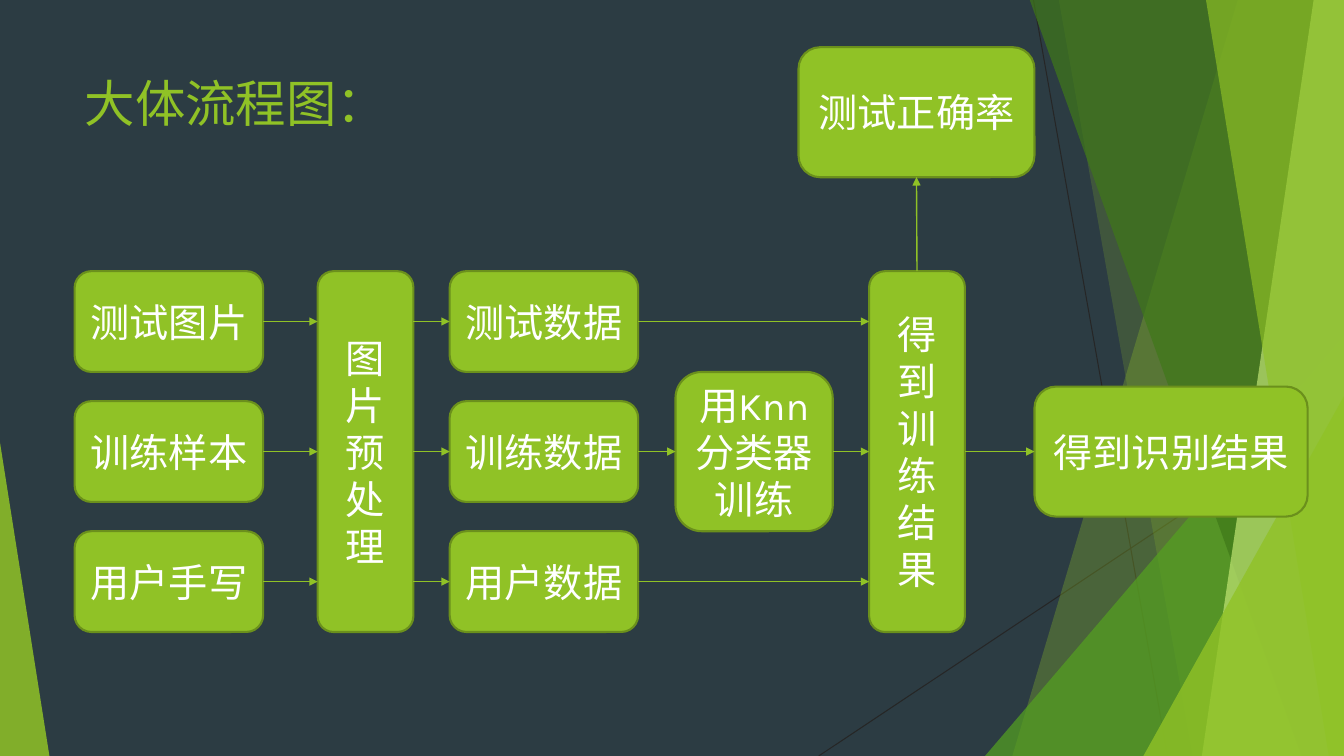
from dataclasses import dataclass
from typing import NamedTuple

from lxml import etree
from pptx import Presentation
from pptx import util as u
from pptx.dml.color import RGBColor
from pptx.enum import shapes, text
from pptx.oxml.ns import qn


@dataclass(frozen=True)
class Theme:
    background: str = "2C3C43"
    accent: str = "90C226"
    outline: str = "6B901C"
    hairline: str = "262626"
    leaf: str = "54A021"
    forest: str = "3F7819"
    lime: str = "C0E474"
    white: str = "FFFFFF"
    font: str = "Karla"
    title_size: int = 36
    box_size: int = 28


THEME = Theme()
WIDTH, HEIGHT = 13.33, 7.5

# Flow grid: row centres, and columns as (left, width)
ROW_CENTRE, ROW_PITCH, ROW_HEIGHT = 3.19, 1.29, 1.0
TALL = 2 * ROW_PITCH + ROW_HEIGHT
COLUMNS = {
    "input": (0.74, 1.87),
    "prepare": (3.15, 0.95),
    "data": (4.46, 1.87),
    "classifier": (6.7, 1.56),
    "trained": (8.62, 0.95),
    "accuracy": (7.92, 2.34),
    "recognised": (10.26, 2.71),
}
TOP, LEFT, BOTTOM, RIGHT = range(4)


class Band(NamedTuple):
    """Facet down the right edge: its left side runs from top_x to bottom_x."""
    top_x: float
    bottom_x: float
    color: str
    opacity: int


class Corner(NamedTuple):
    """Right triangle standing on the bottom edge."""
    left: float
    width: float
    height: float
    apex: int
    color: str
    opacity: int


class Step(NamedTuple):
    label: str
    column: str
    row: float
    height: float = ROW_HEIGHT


class Arrow(NamedTuple):
    start: str
    end: str
    row: int


BANDS = (
    Band(12.28, 10.04, THEME.accent, 30),
    Band(10.5, 11.83, THEME.accent, 20),
    Corner(9.77, 3.56, 4.17, 1, THEME.leaf, 72),
    Band(10.21, 12.91, THEME.forest, 70),
    Band(13.03, 11.92, THEME.lime, 70),
    Band(11.96, 13.18, THEME.accent, 65),
    Corner(11.34, 1.99, 3.57, 1, THEME.accent, 80),
    Corner(0, 0.49, 3.11, 0, THEME.accent, 85),
)
HAIRLINES = ((10.25, 0, 11.58, HEIGHT), (WIDTH, 4.03, 8.12, HEIGHT))

STEPS = (
    Step("测试图片", "input", 0),
    Step("训练样本", "input", 1),
    Step("用户手写", "input", 2),
    Step("图片预处理", "prepare", 1, TALL),
    Step("测试数据", "data", 0),
    Step("训练数据", "data", 1),
    Step("用户数据", "data", 2),
    Step("用Knn分类器训练", "classifier", 1, 1.58),
    Step("得到训练结果", "trained", 1, TALL),
    Step("测试正确率", "accuracy", -1.61, 1.29),
    Step("得到识别结果", "recognised", 1, 1.29),
)
ARROWS = (
    *(Arrow("input", "prepare", row) for row in range(3)),
    *(Arrow("prepare", "data", row) for row in range(3)),
    Arrow("data", "trained", 0),
    Arrow("data", "classifier", 1),
    Arrow("data", "trained", 2),
    Arrow("classifier", "trained", 1),
    Arrow("trained", "recognised", 1),
)


def row_y(row: float) -> float:
    return ROW_CENTRE + row * ROW_PITCH


def paint(shape, color: str, opacity: int = 100) -> None:
    shape.shadow.inherit = False
    shape.fill.solid()
    shape.fill.fore_color.rgb = RGBColor.from_string(color)
    if opacity < 100:
        tint = shape._element.spPr.find(".//" + qn("a:srgbClr"))
        etree.SubElement(tint, qn("a:alpha"), val=str(opacity * 1000))


def write(frame, words: str, *, size: int, color: str, align, anchor) -> None:
    frame.word_wrap = True
    frame.vertical_anchor = anchor
    para = frame.paragraphs[0]
    para.alignment = align
    span = para.add_run()
    span.text = words
    span.font.name = THEME.font
    span.font.size = u.Pt(size)
    span.font.color.rgb = RGBColor.from_string(color)


def add_line(page, ends, color: str, width: float, arrow: bool = False):
    line = page.shapes.add_connector(
        shapes.MSO_CONNECTOR.STRAIGHT, *(u.Inches(end) for end in ends))
    line.line.color.rgb = RGBColor.from_string(color)
    line.line.width = u.Pt(width)
    properties = line._element.spPr
    if arrow:
        etree.SubElement(properties.find(qn("a:ln")), qn("a:tailEnd"), type="triangle")
    etree.SubElement(properties, qn("a:effectLst"))
    return line


def add_facet(page, facet: Band | Corner) -> None:
    if isinstance(facet, Band):
        top, right, bottom = u.Inches(-0.01), u.Inches(WIDTH), u.Inches(HEIGHT)
        outline = page.shapes.build_freeform(u.Inches(facet.top_x), top)
        outline.add_line_segments(
            [(right, top), (right, bottom), (u.Inches(facet.bottom_x), bottom)])
        shape = outline.convert_to_shape()
    else:
        shape = page.shapes.add_shape(
            shapes.MSO_SHAPE.ISOSCELES_TRIANGLE, u.Inches(facet.left),
            u.Inches(HEIGHT - facet.height), u.Inches(facet.width), u.Inches(facet.height))
        shape.adjustments[0] = facet.apex
    paint(shape, facet.color, facet.opacity)
    shape.line.fill.background()


def add_step(page, step: Step):
    left, width = COLUMNS[step.column]
    box = page.shapes.add_shape(
        shapes.MSO_SHAPE.FLOWCHART_ALTERNATE_PROCESS, u.Inches(left),
        u.Inches(row_y(step.row) - step.height / 2), u.Inches(width), u.Inches(step.height))
    paint(box, THEME.accent)
    box.line.color.rgb = RGBColor.from_string(THEME.outline)
    box.line.width = u.Pt(1.5)
    write(box.text_frame, step.label, size=THEME.box_size, color=THEME.white,
          align=text.PP_ALIGN.CENTER, anchor=text.MSO_ANCHOR.MIDDLE)
    return box


def add_arrow(page, arrow: Arrow, boxes: dict) -> None:
    y = row_y(arrow.row)
    ends = (sum(COLUMNS[arrow.start]), y, COLUMNS[arrow.end][0], y)
    line = add_line(page, ends, THEME.accent, 1, arrow=True)
    # Tall boxes are joined only at their middle row
    if (arrow.start, arrow.row) in boxes:
        line.begin_connect(boxes[arrow.start, arrow.row], RIGHT)
    if (arrow.end, arrow.row) in boxes:
        line.end_connect(boxes[arrow.end, arrow.row], LEFT)


def main() -> None:
    deck = Presentation()
    deck.slide_width, deck.slide_height = u.Inches(WIDTH), u.Inches(HEIGHT)
    page = deck.slides.add_slide(deck.slide_layouts.get_by_name("Title Only"))
    page.background.fill.solid()
    page.background.fill.fore_color.rgb = RGBColor.from_string(THEME.background)

    # Backdrop
    for ends in HAIRLINES:
        add_line(page, ends, THEME.hairline, 0.75)
    for facet in BANDS:
        add_facet(page, facet)

    # Title
    title = page.shapes.title
    title.left, title.top = u.Inches(0.74), u.Inches(0.67)
    title.width, title.height = u.Inches(9.4), u.Inches(1.44)
    write(title.text_frame, "大体流程图：", size=THEME.title_size, color=THEME.accent,
          align=text.PP_ALIGN.LEFT, anchor=text.MSO_ANCHOR.TOP)

    # Flow chart
    boxes = {(step.column, step.row): add_step(page, step) for step in STEPS}
    for arrow in ARROWS:
        add_arrow(page, arrow, boxes)
    upward = add_line(page, (9.09, 2.69, 9.09, 1.76), THEME.accent, 1, arrow=True)
    upward.begin_connect(boxes["trained", 1], TOP)
    upward.end_connect(boxes["accuracy", -1.61], BOTTOM)

    deck.save("out.pptx")


if __name__ == "__main__":
    main()
